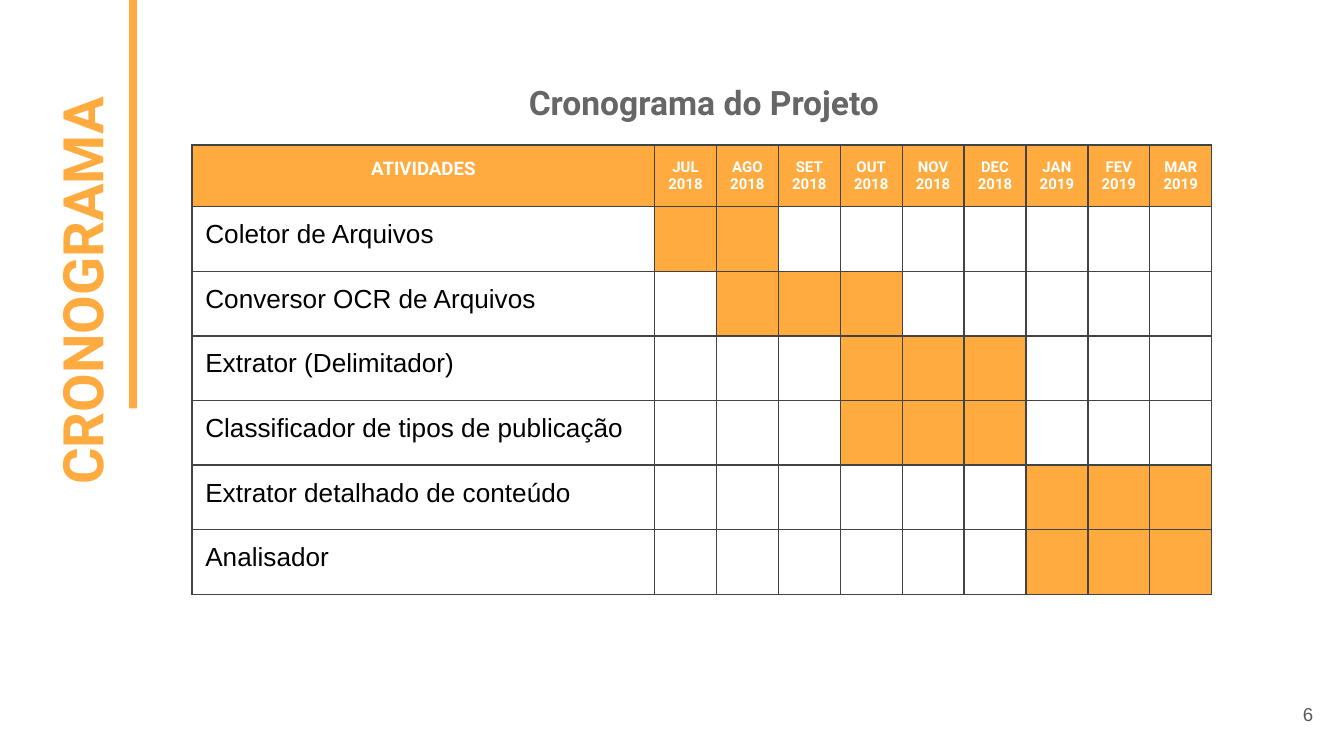
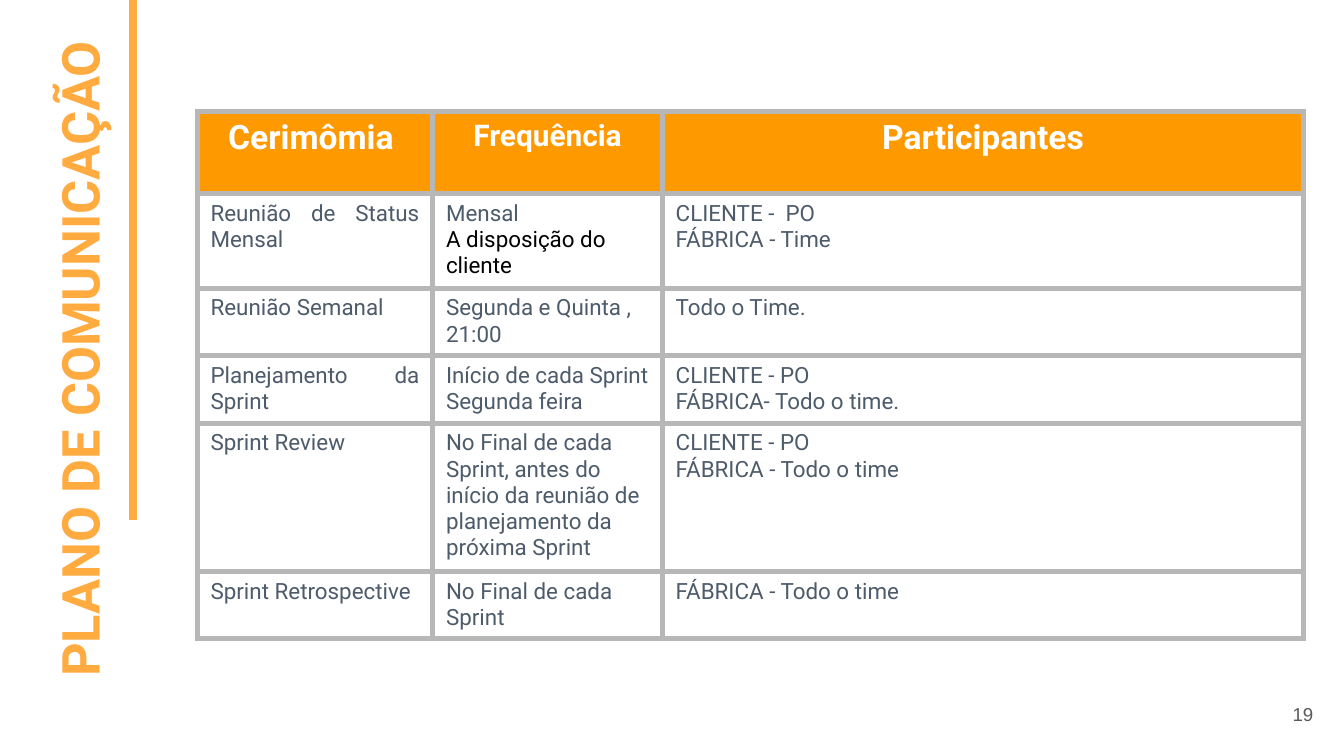
import dataclasses

import pptx
import pptx.dml.color
import pptx.enum.shapes
import pptx.enum.text
import pptx.oxml
import pptx.oxml.ns
import pptx.util

Cm = pptx.util.Cm
Align = pptx.enum.text.PP_ALIGN
Anchor = pptx.enum.text.MSO_ANCHOR

ORANGE = "FFAB40"
DEEP_ORANGE = "FF9900"
WHITE = "FFFFFF"
BLACK = "000000"
SLATE = "4D5B6B"
GREY = "666666"
PAGE_GREY = "595959"
INSET = 0.25

MONTHS = [("JUL", "2018"), ("AGO", "2018"), ("SET", "2018"), ("OUT", "2018"),
          ("NOV", "2018"), ("DEC", "2018"), ("JAN", "2019"), ("FEV", "2019"),
          ("MAR", "2019")]

ACTIVITIES = [
    ("Coletor de Arquivos", "JUL", "AGO"),
    ("Conversor OCR de Arquivos", "AGO", "OUT"),
    ("Extrator (Delimitador)", "OUT", "DEC"),
    ("Classificador de tipos de publicação", "OUT", "DEC"),
    ("Extrator detalhado de conteúdo", "JAN", "MAR"),
    ("Analisador", "JAN", "MAR"),
]

CEREMONY_HEADINGS = [("Cerimômia ", 18), ("Frequência", 16), ("Participantes", 18)]
ON_DEMAND = "A disposição do cliente"
CEREMONIES = [
    ("Reunião de Status Mensal", ["Mensal", ON_DEMAND],
     ["CLIENTE -  PO", "FÁBRICA - Time"]),
    ("Reunião Semanal", ["Segunda e Quinta , 21:00"], ["Todo o Time."]),
    ("Planejamento da Sprint", ["Início de cada Sprint", "Segunda feira"],
     ["CLIENTE - PO", "FÁBRICA- Todo o time."]),
    ("Sprint Review",
     ["No Final de cada Sprint, antes do início da reunião de "
      "planejamento da próxima Sprint"],
     ["CLIENTE - PO", "FÁBRICA - Todo o time"]),
    ("Sprint Retrospective", ["No Final de cada Sprint"],
     ["FÁBRICA - Todo o time"]),
]


@dataclasses.dataclass
class Line:
    text: str
    size: float
    color: str
    bold: bool = False
    align: Align = Align.LEFT
    font: str = "Roboto"
    spacing: float = 1.0


def rgb(value):
    return pptx.dml.color.RGBColor.from_string(value)


def write_lines(frame, lines):
    for index, line in enumerate(lines):
        paragraph = frame.add_paragraph() if index else frame.paragraphs[0]
        paragraph.alignment = line.align
        paragraph.line_spacing = line.spacing
        run = paragraph.add_run()
        run.text = line.text
        run.font.name = line.font
        run.font.size = pptx.util.Pt(line.size)
        run.font.bold = line.bold
        run.font.color.rgb = rgb(line.color)


def add_text(slide, left, top, width, height, line, rotation=0, anchor=Anchor.TOP):
    box = slide.shapes.add_textbox(Cm(left), Cm(top), Cm(width), Cm(height))
    box.rotation = rotation
    frame = box.text_frame
    frame.word_wrap = True
    frame.vertical_anchor = anchor
    frame.margin_left = frame.margin_right = Cm(INSET)
    frame.margin_top = frame.margin_bottom = Cm(INSET)
    write_lines(frame, [line])


def add_side_title(slide, title, left, top, width, bar_height):
    add_text(slide, left, top, width, 1.63, title, rotation=270)
    bar = slide.shapes.add_shape(pptx.enum.shapes.MSO_SHAPE.RECTANGLE,
                                 Cm(2.44), 0, Cm(0.15), Cm(bar_height))
    bar.shadow.inherit = False
    bar.fill.solid()
    bar.fill.fore_color.rgb = rgb(ORANGE)
    bar.line.fill.background()


def add_page_number(slide, number):
    add_text(slide, 23.55, 12.95, 1.52, 1.09,
             Line(number, 10, PAGE_GREY, align=Align.RIGHT, font="Arial"),
             anchor=Anchor.MIDDLE)


def set_borders(cell, color, width):
    properties = cell._tc.get_or_add_tcPr()
    for index, side in enumerate(("lnL", "lnR", "lnT", "lnB")):
        properties.insert(index, pptx.oxml.parse_xml(
            f'<a:{side} {pptx.oxml.ns.nsdecls("a")} w="{pptx.util.Pt(width)}">'
            f'<a:solidFill><a:srgbClr val="{color}"/></a:solidFill></a:{side}>'))


def add_grid(slide, left, top, widths, heights, cells, border, inset_y):
    table = slide.shapes.add_table(len(heights), len(widths), Cm(left), Cm(top),
                                   Cm(sum(widths)), Cm(sum(heights))).table
    table.first_row = table.horz_banding = False
    for column, width in zip(table.columns, widths):
        column.width = Cm(width)
    for row, height, contents in zip(table.rows, heights, cells):
        row.height = Cm(height)
        for cell, (lines, fill) in zip(row.cells, contents):
            set_borders(cell, *border)
            cell.fill.solid()
            cell.fill.fore_color.rgb = rgb(fill)
            if lines:
                cell.margin_left = cell.margin_right = Cm(INSET)
                cell.margin_top = cell.margin_bottom = Cm(inset_y)
                write_lines(cell.text_frame, lines)


def heading(text, size):
    return Line(text, size, WHITE, bold=True, align=Align.CENTER)


def schedule_cells():
    names = [month for month, year in MONTHS]
    header = [([heading("ATIVIDADES", 10)], ORANGE)]
    header += [([heading(part, 8) for part in month], ORANGE) for month in MONTHS]
    rows = [header]
    for activity, first, last in ACTIVITIES:
        active = range(names.index(first), names.index(last) + 1)
        row = [([Line(activity, 14, BLACK, font="Arial")], WHITE)]
        row += [([], ORANGE if i in active else WHITE) for i in range(len(names))]
        rows.append(row)
    return rows


def ceremony_cells():
    def body(texts, align=Align.LEFT):
        return [Line(text, 12, BLACK if text == ON_DEMAND else SLATE, align=align)
                for text in texts], WHITE

    rows = [[([heading(*item)], DEEP_ORANGE) for item in CEREMONY_HEADINGS]]
    for ceremony, frequency, participants in CEREMONIES:
        rows.append([body([ceremony], Align.JUSTIFY), body(frequency),
                     body(participants)])
    return rows


def build_schedule(slide):
    add_grid(slide, 3.63, 2.74, [8.74] + [1.17] * len(MONTHS),
             [1.17] + [1.22] * len(ACTIVITIES), schedule_cells(),
             ("434343", 0.75), INSET)
    add_side_title(slide, Line("CRONOGRAMA", 30, ORANGE, bold=True),
                   -3.15, 3.99, 9.22, 7.72)
    add_text(slide, 4.29, 1.19, 18.03, 1.09,
             Line("Cronograma do Projeto", 18, GREY, bold=True,
                  align=Align.CENTER, spacing=1.15))
    add_page_number(slide, "6")


def build_communication(slide):
    add_side_title(slide, Line("PLANO DE COMUNICAÇÃO", 28, ORANGE, bold=True,
                               align=Align.RIGHT), -5.31, 6.48, 13.54, 9.83)
    add_page_number(slide, "19")
    add_grid(slide, 3.73, 2.11, [4.45, 4.34, 12.12],
             [1.55, 1.22, 0.99, 1.22, 1.5, 1.14], ceremony_cells(),
             ("B7B7B7", 3), 0.13)


def main():
    deck = pptx.Presentation()
    deck.slide_width, deck.slide_height = Cm(25.4), Cm(14.29)
    for build in (build_schedule, build_communication):
        build(deck.slides.add_slide(deck.slide_layouts[6]))
    deck.save("out.pptx")


if __name__ == "__main__":
    main()
